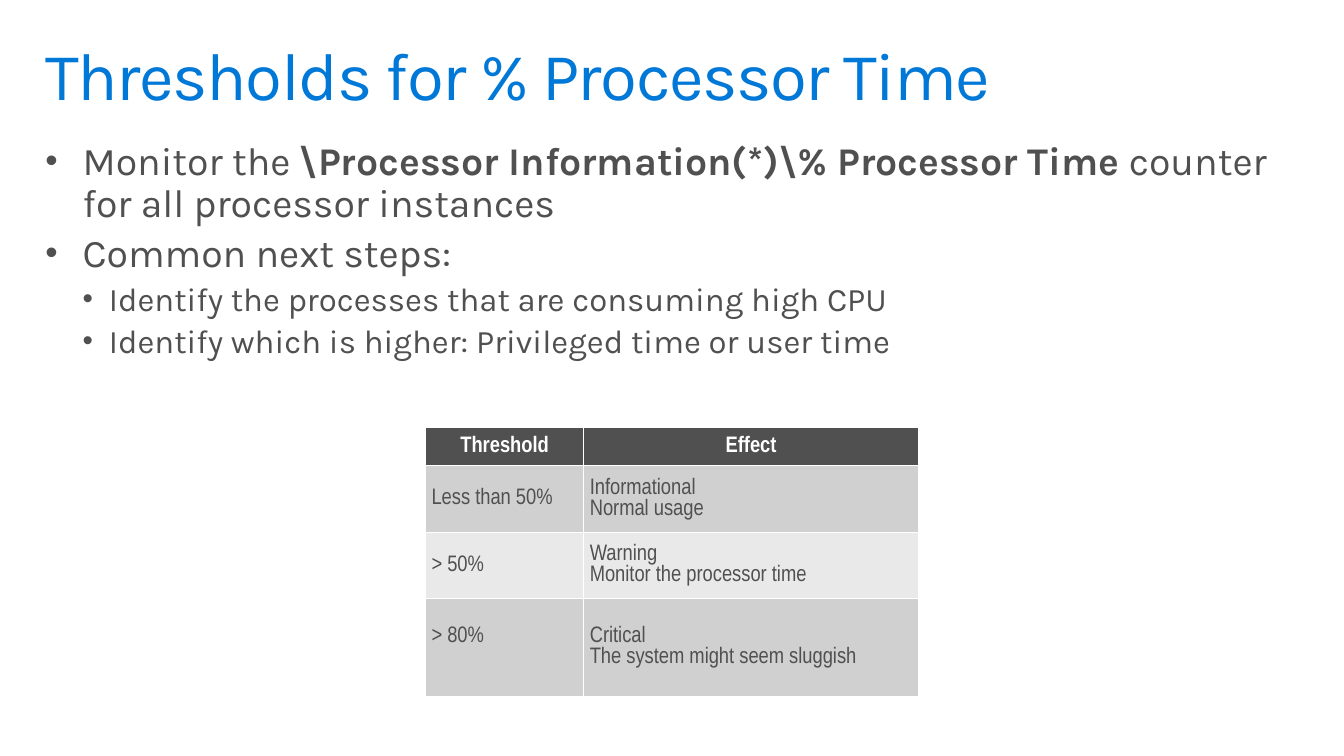
"""Build a slide on processor time thresholds."""
from dataclasses import dataclass

from lxml import etree
from pptx import Presentation
from pptx.dml.color import RGBColor
from pptx.enum import text as t
from pptx.oxml import ns
from pptx.util import Inches, Pt


@dataclass(frozen=True)
class Theme:
    blue: str = "0078D7"
    dark: str = "505050"
    white: str = "FFFFFF"
    bands: tuple = ("D0D0D0", "E9E9E9")
    face: str = "Karla"
    narrow: str = "Arial Narrow"
    title: float = 48
    levels: tuple = (28, 23.5)
    cell: float = 16


THEME = Theme()
INDENTS = ((0.37, 0.37), (0.63, 0.26))
POINTS = [
    (0, ["Monitor the ", r"\Processor Information(*)\% Processor Time",
         " counter for all processor instances"]),
    (0, ["Common next steps:"]),
    (1, ["Identify the processes that are consuming high CPU"]),
    (1, ["Identify which is higher: Privileged time or user time"]),
]
ROWS = [
    ("Threshold", "Effect"),
    ("Less than 50%", "Informational\nNormal usage"),
    ("> 50%", "Warning\nMonitor the processor time"),
    ("> 80%", "Critical\nThe system might seem sluggish"),
]
WIDTHS = (1.57, 3.32)
HEIGHTS = (0.38, 0.66, 0.66, 0.97)


def add(parent, tag, **attrs):
    return etree.SubElement(parent, ns.qn(tag), attrs)


def style(para, face, size, color, bold=False):
    font = para.font
    font.name, font.size, font.bold = face, Pt(size), bold
    font.color.rgb = RGBColor.from_string(color)


def add_box(slide, left, top, width, height):
    box = slide.shapes.add_textbox(*map(Inches, (left, top, width, height)))
    frame = box.text_frame
    frame.word_wrap = True
    frame.vertical_anchor = t.MSO_ANCHOR.TOP
    frame.margin_left = frame.margin_right = Inches(0.16)
    frame.margin_top = frame.margin_bottom = Inches(0.1)
    return frame


def add_title(slide, words):
    para = add_box(slide, 0.29, 0.32, 12.75, 0.98).paragraphs[0]
    run = para.add_run()
    run.text = words
    run._r.get_or_add_rPr().set("spc", "-100")
    para.line_spacing = 0.9
    style(para, THEME.face, THEME.title, THEME.blue)


def add_bullet(para, level):
    margin, hang = INDENTS[level]
    props = para._p.get_or_add_pPr()
    props.set("marL", str(Inches(margin)))
    props.set("indent", str(-Inches(hang)))
    add(props, "a:buSzPct", val="90000")
    add(props, "a:buFont", typeface="Arial")
    add(props, "a:buChar", char="•")


def add_points(slide):
    frame = add_box(slide, 0.29, 1.3, 12.74, 2.08)
    for i, (level, parts) in enumerate(POINTS):
        para = frame.add_paragraph() if i else frame.paragraphs[0]
        size = THEME.levels[level]
        para.level = level
        para.line_spacing = 0.9
        para.space_before = Pt(size * 0.2)
        add_bullet(para, level)
        style(para, THEME.face, size, THEME.dark)
        for j, part in enumerate(parts):
            run = para.add_run()
            run.text = part
            if j == 1:
                run.font.bold = True


def add_edges(cell):
    props = cell._tc.get_or_add_tcPr()
    for side in "LRTB":
        line = add(props, f"a:ln{side}", w=str(Pt(1)))
        add(add(line, "a:solidFill"), "a:srgbClr", val=THEME.white)


def fill_cell(cell, words, head, color):
    cell.text = words
    cell.vertical_anchor = t.MSO_ANCHOR.MIDDLE
    cell.margin_left = cell.margin_right = Inches(0.06)
    cell.margin_top = cell.margin_bottom = Inches(0.03)
    add_edges(cell)
    cell.fill.solid()
    cell.fill.fore_color.rgb = RGBColor.from_string(color)
    for para in cell.text_frame.paragraphs:
        para.alignment = t.PP_ALIGN.CENTER if head else t.PP_ALIGN.LEFT
        ink = THEME.white if head else THEME.dark
        style(para, THEME.narrow, THEME.cell, ink, head)


def add_grid(slide):
    size = (4.22, 4.24, sum(WIDTHS), sum(HEIGHTS))
    table = slide.shapes.add_table(
        len(ROWS), len(WIDTHS), *map(Inches, size)).table
    for col, width in zip(table.columns, WIDTHS):
        col.width = Inches(width)
    for i, (row, height) in enumerate(zip(table.rows, HEIGHTS)):
        row.height = Inches(height)
        color = THEME.bands[(i - 1) % 2] if i else THEME.dark
        for cell, words in zip(row.cells, ROWS[i]):
            fill_cell(cell, words, i == 0, color)
    table.cell(len(ROWS) - 1, 0).margin_bottom = Inches(0.24)


def main():
    deck = Presentation()
    deck.slide_width, deck.slide_height = Inches(13.33), Inches(7.5)
    slide = deck.slides.add_slide(deck.slide_layouts[6])
    add_points(slide)
    add_title(slide, "Thresholds for % Processor Time")
    add_grid(slide)
    deck.save("out.pptx")


if __name__ == "__main__":
    main()
